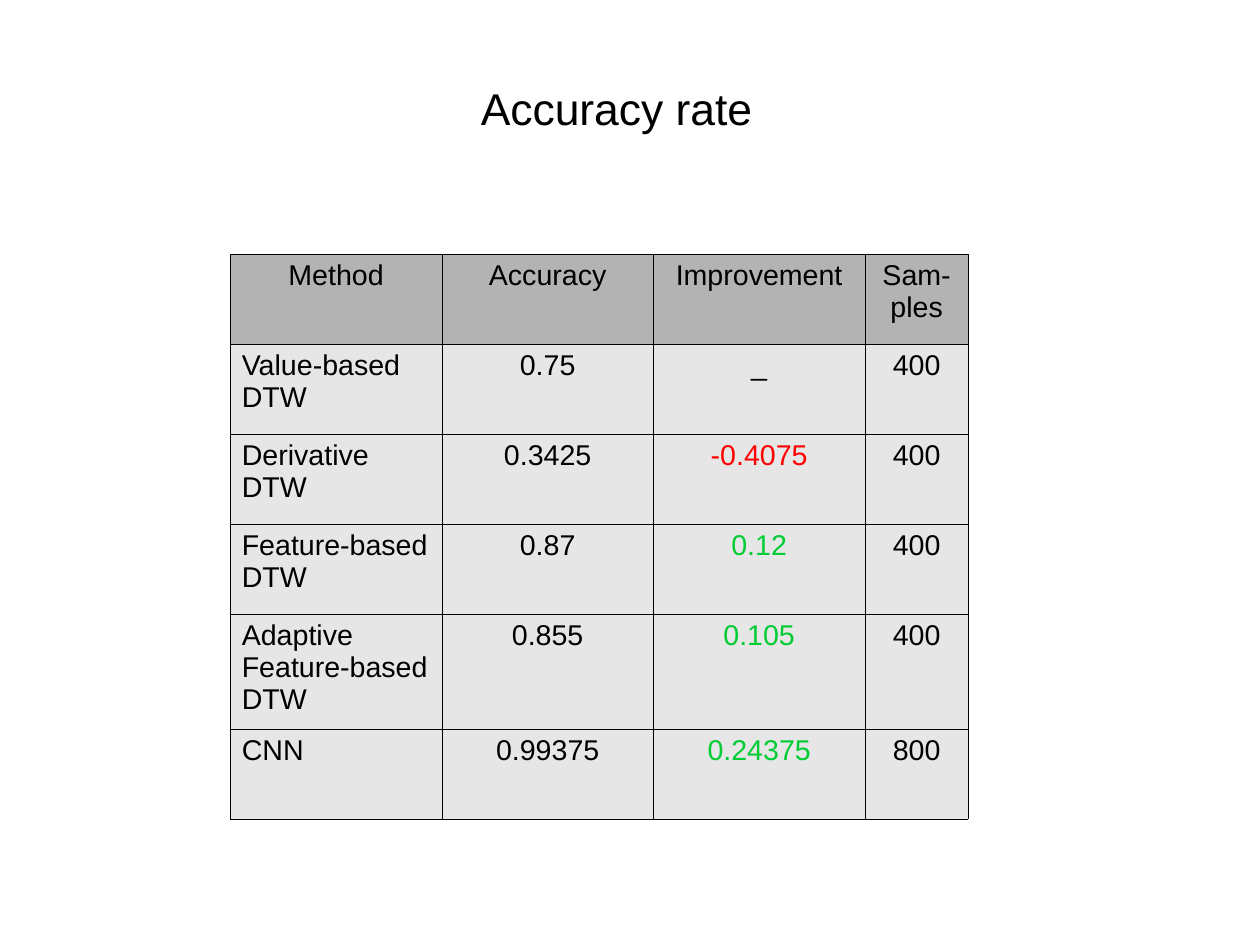
import lxml.etree
import pptx
import pptx.dml.color
import pptx.enum.text
import pptx.oxml.ns
import pptx.util

Cm, Pt = pptx.util.Cm, pptx.util.Pt
Align = pptx.enum.text.PP_ALIGN
BLACK, RED, GREEN = "000000", "FF0000", "00CC33"
HEAD, BODY = "B3B3B3", "E6E6E6"
ROWS = [
    ("Method", "Accuracy", "Improvement", "Sam-ples"),
    ("Value-based DTW", "0.75", "_", "400"),
    ("Derivative DTW", "0.3425", "-0.4075", "400"),
    ("Feature-based\nDTW", "0.87", "0.12", "400"),
    ("Adaptive Feature-based DTW", "0.855", "0.105", "400"),
    ("CNN", "0.99375", "0.24375", "800"),
]
WIDTHS = (4.7, 4.7, 4.7, 2.3)
HEIGHTS = (2, 2, 2, 2, 2.4, 2)


def rgb(code):
    return pptx.dml.color.RGBColor.from_string(code)


def style(frame, size, color, align):
    for para in frame.paragraphs:
        para.alignment = align
        para.font.name = "Arial"
        para.font.size = Pt(size)
        para.font.color.rgb = rgb(color)


def add_title(slide, left, top, width, height):
    box = slide.shapes.add_textbox(Cm(left), Cm(top), Cm(width), Cm(height))
    frame = box.text_frame
    frame.word_wrap = True
    frame.vertical_anchor = pptx.enum.text.MSO_ANCHOR.MIDDLE
    frame.margin_left = Cm(0.6)
    frame.margin_right = frame.margin_top = frame.margin_bottom = 0
    frame.text = "Accuracy rate"
    style(frame, 28, BLACK, Align.CENTER)


def add_border(cell):
    """Draw a hairline on all four sides; must come before the fill."""
    qn = pptx.oxml.ns.qn
    props = cell._tc.get_or_add_tcPr()
    for side in "LRTB":
        line = lxml.etree.SubElement(props, qn("a:ln" + side), w=str(Pt(0.06)))
        fill = lxml.etree.SubElement(line, qn("a:solidFill"))
        lxml.etree.SubElement(fill, qn("a:srgbClr"), val=BLACK)


def text_color(row, col, text):
    """Colour gains green and losses red in the improvement column."""
    if row == 0 or col != 2 or text == "_":
        return BLACK
    return RED if float(text) < 0 else GREEN


def add_results(slide, left, top):
    table = slide.shapes.add_table(
        len(ROWS), len(WIDTHS), Cm(left), Cm(top),
        Cm(sum(WIDTHS)), Cm(sum(HEIGHTS))).table
    for column, width in zip(table.columns, WIDTHS):
        column.width = Cm(width)
    for line, height in zip(table.rows, HEIGHTS):
        line.height = Cm(height)
    for row, texts in enumerate(ROWS):
        for col, text in enumerate(texts):
            cell = table.cell(row, col)
            cell.text = text
            add_border(cell)
            cell.fill.solid()
            cell.fill.fore_color.rgb = rgb(BODY if row else HEAD)
            align = Align.LEFT if row and col == 0 else Align.CENTER
            style(cell.text_frame, 18, text_color(row, col, text), align)


def main():
    deck = pptx.Presentation()
    deck.slide_width, deck.slide_height = Cm(28), Cm(21)
    slide = deck.slides.add_slide(deck.slide_layouts[6])
    add_title(slide, 2.6, 1.2, 21.6, 2.4)
    add_results(slide, 5.12, 5.65)
    deck.save("out.pptx")


if __name__ == "__main__":
    main()
